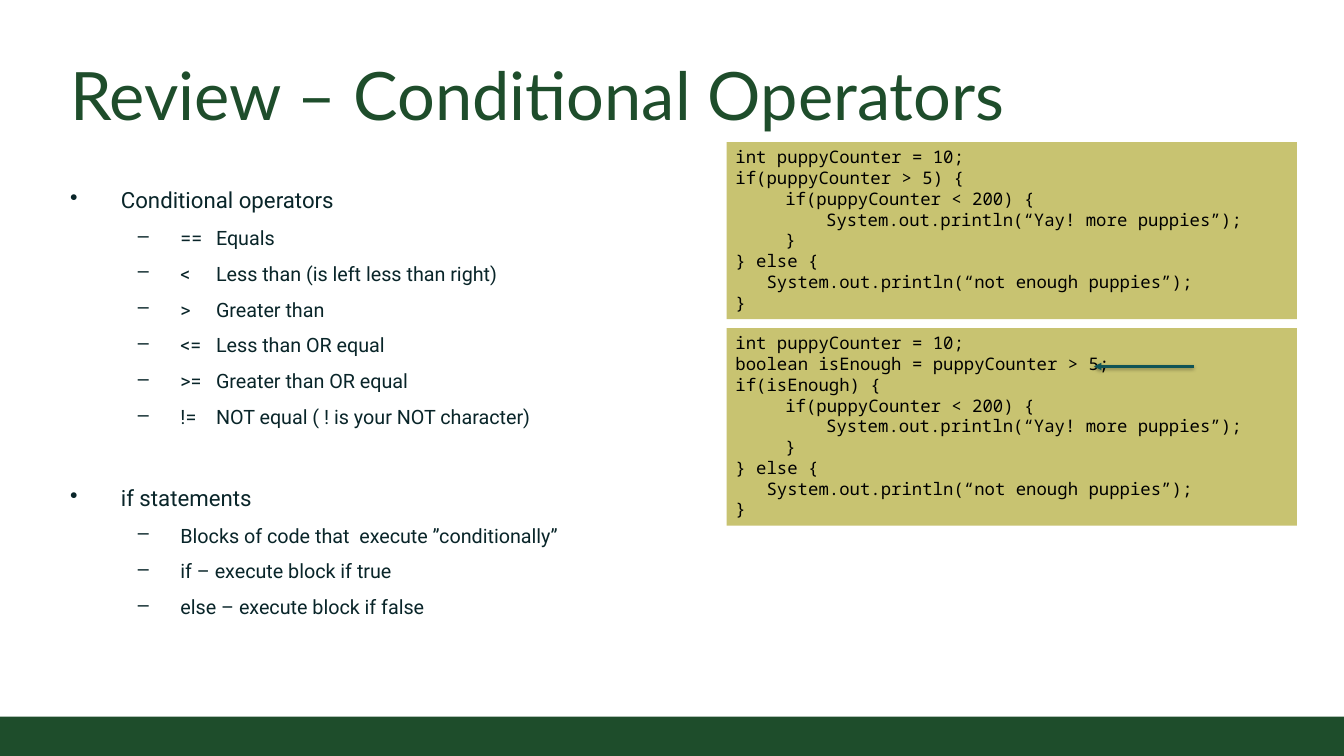
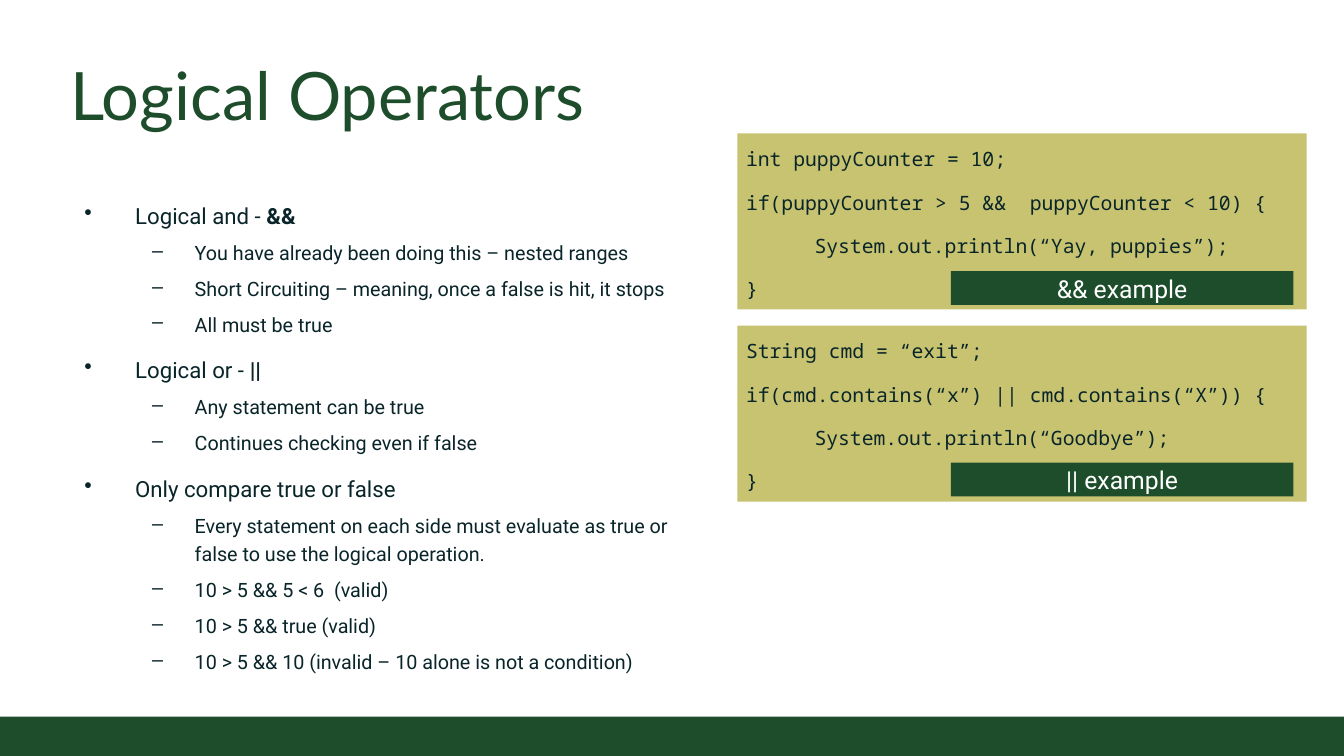
from lxml.etree import SubElement
from pptx import Presentation
from pptx.dml.color import RGBColor
from pptx.enum.shapes import MSO_CONNECTOR as CONN, MSO_SHAPE as SHAPE
from pptx.enum.text import MSO_ANCHOR as ANCHOR, PP_ALIGN as ALIGN
from pptx.oxml import parse_xml
from pptx.oxml.ns import nsdecls, qn
from pptx.util import Inches, Pt

WIDTH, HEIGHT = 15.11, 8.5
COLORS = {"green": "1E4D2B", "sand": "C8C371", "ink": "092529",
          "black": "000000", "white": "FFFFFF", "arrow": "105456"}
TITLE, BODY, MONO = "Lato", "Roboto", "Noto Sans Mono"
PAD = (0.1, 0.1)
LEVELS = [
    {"size": 18, "indent": 0.57, "hang": 0.57, "bullet": "•", "before": 6},
    {"size": 16, "indent": 1.24, "hang": 0.48, "bullet": "–", "before": 0},
]
OPERATOR_GAP = 0.4
SECTION_GAP = 35

CONDITIONAL = [
    (0, "Conditional operators"),
    (1, "==\tEquals"),
    (1, "<\tLess than (is left less than right)"),
    (1, ">\tGreater than"),
    (1, "<=\tLess than OR equal"),
    (1, ">=\tGreater than OR equal"),
    (1, "!=\tNOT equal ( ! is your NOT character)"),
    (0, "if statements"),
    (1, "Blocks of code that  execute ”conditionally”"),
    (1, "if – execute block if true"),
    (1, "else – execute block if false"),
]
LOGICAL = [
    (0, "Logical and - ", "&&"),
    (1, "You have already been doing this – nested ranges"),
    (1, "Short Circuiting – meaning, once a false is hit, it stops"),
    (1, "All must be true"),
    (0, "Logical or - ", "||"),
    (1, "Any statement can be true"),
    (1, "Continues checking even if false"),
    (0, "Only compare true or false"),
    (1, "Every statement on each side must evaluate as true or "
        "false to use the logical operation."),
    (1, "10 > 5 && 5 < 6  (valid)"),
    (1, "10 > 5 && true (valid)"),
    (1, "10 > 5 && 10 (invalid – 10 alone is not a condition)"),
]
COUNTER = (0, "int puppyCounter = 10;")
NESTED = [
    (0.56, "if(puppyCounter < 200) {"),
    (1.02, "System.out.println(“Yay! more puppies”);"),
    (0.56, "}"),
    (0, "} else {"),
    (0.35, "System.out.println(“not enough puppies”);"),
    (0, "}"),
]
DIRECT_TEST = [COUNTER, (0, "if(puppyCounter > 5) {"), *NESTED]
STORED_TEST = [COUNTER, (0, "boolean isEnough = puppyCounter > 5;"),
               (0, "if(isEnough) {"), *NESTED]
AND_CODE = [COUNTER, (0, "if(puppyCounter > 5 &&  puppyCounter < 10) {"),
            (0.77, "System.out.println(“Yay, puppies”);"), (0, "}")]
OR_CODE = [(0, "String cmd = “exit”;"),
           (0, "if(cmd.contains(“x”) || cmd.contains(“X”)) {"),
           (0.77, "System.out.println(“Goodbye”);"), (0, "}")]


def rgb(name):
    """Return a palette colour."""
    return RGBColor.from_string(COLORS[name])


def px(share):
    """Turn a percentage of the slide's width into a length."""
    return Inches(WIDTH * share / 100)


def py(share):
    """Turn a percentage of the slide's height into a length."""
    return Inches(HEIGHT * share / 100)


def place(x, y, w, h):
    """Turn a box given in percentages into lengths."""
    return px(x), py(y), px(w), py(h)


def set_frame(sp, pad, anchor=ANCHOR.TOP):
    """Set wrapping, insets and anchor, and return the text frame."""
    tf = sp.text_frame
    tf.word_wrap = True
    tf.vertical_anchor = anchor
    tf.margin_left = tf.margin_right = Inches(pad[0])
    tf.margin_top = tf.margin_bottom = Inches(pad[1])
    return tf


def add_rect(s, box, fill):
    """Add a plain filled rectangle."""
    sp = s.shapes.add_shape(SHAPE.RECTANGLE, *place(*box))
    sp.shadow.inherit = False
    sp.fill.solid()
    sp.fill.fore_color.rgb = rgb(fill)
    sp.line.fill.background()
    return sp


def add_para(tf, index, align=ALIGN.LEFT, spacing=1, before=0, after=0):
    """Return the paragraph at an index, adding it when needed."""
    p = tf.add_paragraph() if index else tf.paragraphs[0]
    p.alignment = align
    p.line_spacing = spacing
    p.space_before, p.space_after = Pt(before), Pt(after)
    return p


def add_run(p, text, font, size, color, bold=False):
    """Add one formatted run."""
    r = p.add_run()
    r.text = text
    r.font.name, r.font.size, r.font.bold = font, Pt(size), bold
    r.font.color.rgb = rgb(color)


def set_indent(p, left, hang=0):
    """Set the left and hanging indents and return the properties."""
    ppr = p._p.get_or_add_pPr()
    ppr.set("marL", str(Inches(left)))
    ppr.set("indent", str(-Inches(hang)))
    return ppr


def add_slide(prs, title):
    """Add a slide with its footer band and title."""
    s = prs.slides.add_slide(prs.slide_layouts[6])
    add_rect(s, (0, 94.8, 100, 5.2), "green")
    sp = s.shapes.add_textbox(*place(4.57, 5.76, 90.93, 13.06))
    p = add_para(set_frame(sp, PAD, ANCHOR.BOTTOM), 0)
    add_run(p, title, TITLE, 54, "green")
    return s


def add_bullets(s, box, items, section_gap=6):
    """Add a two-level bullet list."""
    tf = set_frame(s.shapes.add_textbox(*place(*box)), PAD)
    for i, (level, text, *strong) in enumerate(items):
        style = LEVELS[level]
        before = section_gap if i and level == 0 else style["before"]
        p = add_para(tf, i, spacing=1.2, before=before, after=6)
        p.level = level
        ppr = set_indent(p, style["indent"], style["hang"])
        SubElement(ppr, qn("a:buChar")).set("char", style["bullet"])
        if "\t" in text:
            tabs = SubElement(ppr, qn("a:tabLst"))
            for stop in (OPERATOR_GAP, style["indent"] + OPERATOR_GAP):
                tab = SubElement(tabs, qn("a:tab"))
                tab.set("pos", str(Inches(stop)))
                tab.set("algn", "l")
        add_run(p, text, BODY, style["size"], "ink")
        for word in strong:
            add_run(p, word, BODY, style["size"], "ink", True)


def add_code(s, box, lines, size, color, pad=PAD, spacing=1, gap=0):
    """Add a code panel whose lines carry their own indents."""
    tf = set_frame(add_rect(s, box, "sand"), pad)
    for i, (indent, text) in enumerate(lines):
        p = add_para(tf, i, spacing=spacing, before=gap, after=gap)
        set_indent(p, indent)
        add_run(p, text, MONO, size, color)


def add_label(s, box, text):
    """Add a centred label on a green bar."""
    tf = set_frame(add_rect(s, box, "green"), (0.3, 0), ANCHOR.MIDDLE)
    add_run(add_para(tf, 0, ALIGN.CENTER), text, BODY, 20, "white")


def add_arrow(s, x1, x2, y):
    """Add a level arrow with a soft shadow."""
    line = s.shapes.add_connector(CONN.STRAIGHT, px(x1), py(y), px(x2), py(y))
    line.line.color.rgb = rgb("arrow")
    line.line.width = Pt(2)
    SubElement(line.line._get_or_add_ln(), qn("a:tailEnd")).set("type", "triangle")
    line._element.spPr.append(parse_xml(
        f'<a:effectLst {nsdecls("a")}><a:outerShdw blurRad="{Pt(3.1)}" '
        f'dist="{Pt(1.6)}" dir="5400000" rotWithShape="0">'
        f'<a:srgbClr val="{COLORS["black"]}"><a:alpha val="38000"/></a:srgbClr>'
        '</a:outerShdw></a:effectLst>'))


def build_conditional(prs):
    """Build the slide on conditional operators."""
    s = add_slide(prs, "Review – Conditional Operators")
    add_bullets(s, (4.57, 22.82, 41.36, 60.47), CONDITIONAL, SECTION_GAP)
    for y, h, lines in ((18.82, 23.41, DIRECT_TEST), (43.41, 26.12, STORED_TEST)):
        add_code(s, (54.07, y, 42.42, h), lines, 14, "black", (0.1, 0.05))
    add_arrow(s, 88.82, 81.4, 48.47)


def build_logical(prs):
    """Build the slide on logical operators."""
    s = add_slide(prs, "Logical Operators")
    add_bullets(s, (5.63, 24.82, 45.47, 65.65), LOGICAL)
    for y, label_y, lines, label in ((17.65, 35.88, AND_CODE, "&& example"),
                                     (43.06, 61.18, OR_CODE, "|| example")):
        add_code(s, (54.86, y, 42.36, 23.29), lines, 16, "ink", spacing=1.2, gap=6)
        add_label(s, (70.75, label_y, 25.48, 4.47), label)


def main():
    """Build and save the presentation."""
    prs = Presentation()
    prs.slide_width, prs.slide_height = Inches(WIDTH), Inches(HEIGHT)
    build_conditional(prs)
    build_logical(prs)
    prs.save("out.pptx")


if __name__ == "__main__":
    main()
